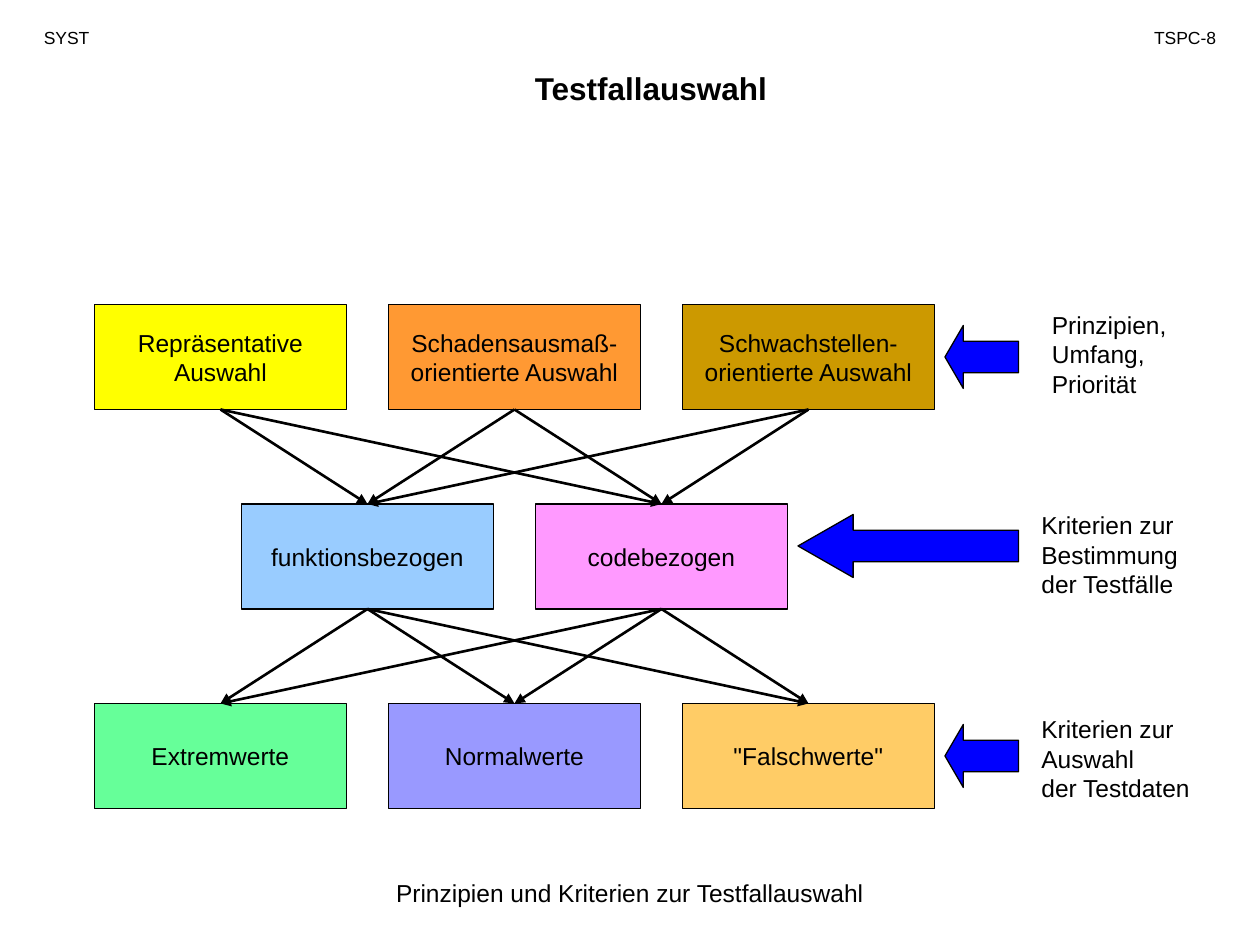
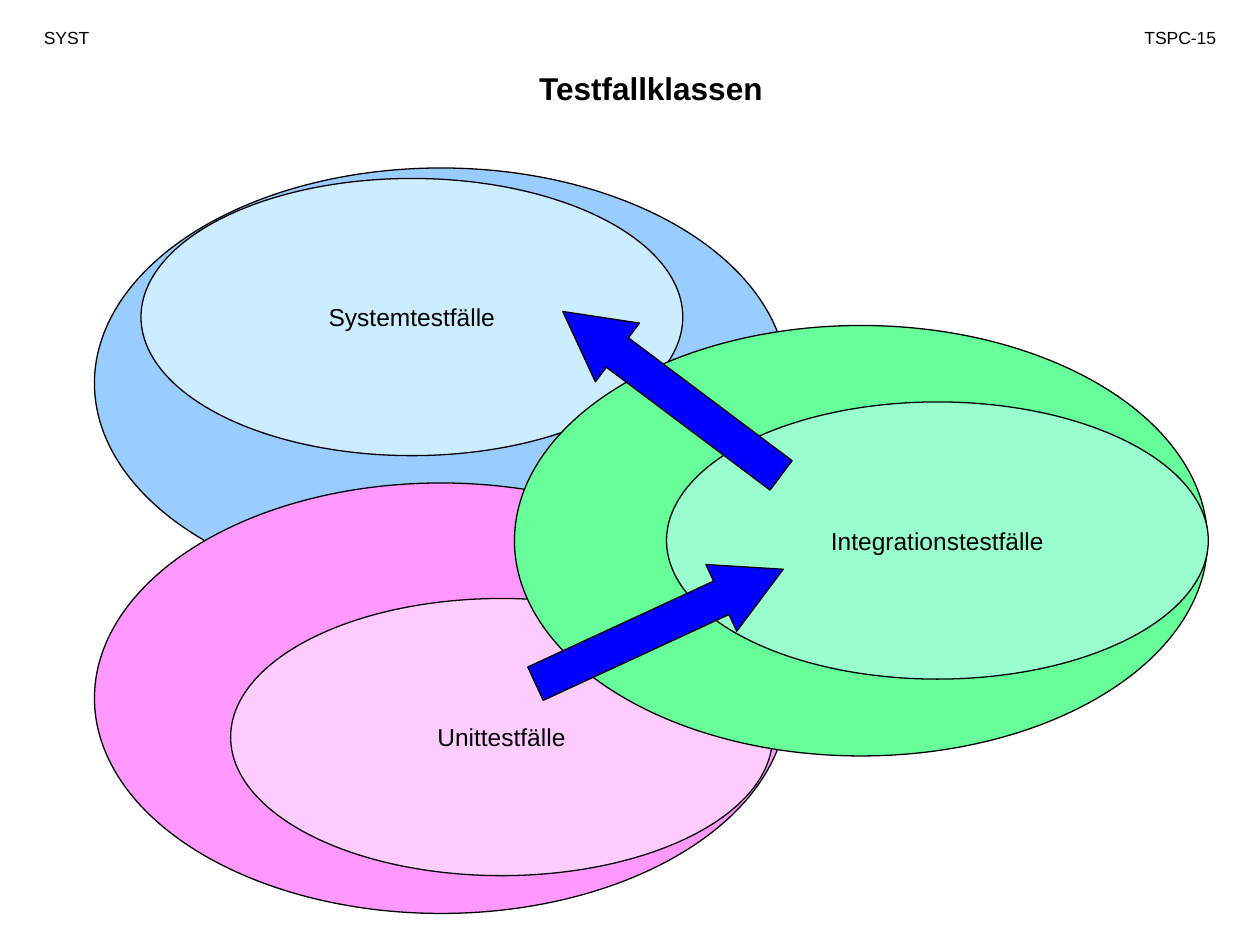
import pptx
import pptx.util
import pptx.dml.color
import pptx.enum.shapes
import pptx.enum.text
import pptx.oxml.ns
from lxml import etree

Pt = pptx.util.Pt
SHAPES = pptx.enum.shapes.MSO_SHAPE
ALIGN = pptx.enum.text.PP_ALIGN
ANCHOR = pptx.enum.text.MSO_ANCHOR

FONT = "Arial"
BLACK = "000000"
ARROW_BLUE = "0000FF"

COURSE = "SYST"
SELECTION_TITLE, SELECTION_PAGE = "Testfallauswahl", "TSPC-8"
CLASSES_TITLE, CLASSES_PAGE = "Testfallklassen", "TSPC-15"

# Each row: boxes (text, fill), then the label beside it with its left and top
SELECTION_ROWS = [
    ([("Repräsentative\nAuswahl", "FFFF00"),
      ("Schadensausmaß-\norientierte Auswahl", "FF9933"),
      ("Schwachstellen-\norientierte Auswahl", "CC9900")],
     ("Prinzipien,\vUmfang,\vPriorität", 594, 173.5)),
    ([("funktionsbezogen", "99CCFF"), ("codebezogen", "FF99FF")],
     ("Kriterien zur\vBestimmung\vder Testfälle", 588, 288)),
    ([("Extremwerte", "66FF99"), ("Normalwerte", "9999FF"),
      ('"Falschwerte"', "FFCC66")],
     ("Kriterien zur\vAuswahl\vder Testdaten", 588, 404.6)),
]
SELECTION_CAPTION = "Prinzipien und Kriterien zur Testfallauswahl"
ROW_ARROW_TOPS = [186, 294, 414]

# Text, outer fill, outer left and top, inner fill, inner left and top
TEST_CLASSES = [
    ("Systemtestfälle", "99CCFF", (54, 96), "CCECFF", (80.6, 102)),
    ("Unittestfälle", "FF99FF", (54, 276), "FFCCFF", (131.8, 342)),
    ("Integrationstestfälle", "66FF99", (294, 186), "99FFCC", (380.9, 229.7)),
]
# Left, top, rotation
CLASS_ARROWS = [(298.8, 337, 335.2), (306, 203.8, 216.9)]

BOX_WIDTH, BOX_HEIGHT, BOX_GAP = 144, 60, 24
ROW_CENTRE, FIRST_ROW_TOP, ROW_PITCH = 294, 174, 114
ROW_ARROW_RIGHT, ROW_ARROW_GAP = 582, 6


def color(hex_string):
    return pptx.dml.color.RGBColor.from_string(hex_string)


def write(shape, text, size=14, align=ALIGN.LEFT, bold=False):
    shape.text_frame.text = text
    for para in shape.text_frame.paragraphs:
        para.alignment = align
        for span in para.runs:
            span.font.name = FONT
            span.font.size = Pt(size)
            span.font.bold = bold
            span.font.color.rgb = color(BLACK)


def place(shape, left, top, width, height):
    shape.left, shape.top = Pt(left), Pt(top)
    shape.width, shape.height = Pt(width), Pt(height)


def add_text(slide, text, left, top, width, height, **style):
    box = slide.shapes.add_textbox(Pt(left), Pt(top), Pt(width), Pt(height))
    box.text_frame.word_wrap = True
    write(box, text, **style)


def add_filled(slide, kind, fill, left, top, width, height, text=""):
    """Add an outlined preset shape, with centred text if there is any."""
    shape = slide.shapes.add_shape(kind, Pt(left), Pt(top), Pt(width), Pt(height))
    shape.shadow.inherit = False
    shape.fill.solid()
    shape.fill.fore_color.rgb = color(fill)
    shape.line.color.rgb = color(BLACK)
    shape.line.width = Pt(0.75)
    if text:
        shape.text_frame.word_wrap = False
        shape.text_frame.vertical_anchor = ANCHOR.MIDDLE
        write(shape, text, align=ALIGN.CENTER)
    return shape


def add_block_arrow(slide, kind, left, top, width, height):
    """Add a blue arrow whose head takes a quarter of its length."""
    arrow = add_filled(slide, kind, ARROW_BLUE, left, top, width, height)
    arrow.adjustments[1] = 0.25 * width / height
    return arrow


def connect(slide, upper, lower):
    """Draw an arrow from the bottom of one box to the top of another."""
    line = slide.shapes.add_connector(
        pptx.enum.shapes.MSO_CONNECTOR.STRAIGHT, 0, 0, 0, 0)
    line.begin_connect(upper, 2)
    line.end_connect(lower, 0)
    line.line.color.rgb = color(BLACK)
    line.line.width = Pt(1.5)
    qn = pptx.oxml.ns.qn
    etree.SubElement(line.line._get_or_add_ln(), qn("a:tailEnd"), type="triangle")
    etree.SubElement(line._element.spPr, qn("a:effectLst"))


def add_page(deck, title, page_label):
    page = deck.slides.add_slide(deck.slide_layouts[5])
    heading = page.shapes.title
    place(heading, 156, 36, 432, 29)
    heading.text_frame.word_wrap = True
    heading.text_frame.auto_size = pptx.enum.text.MSO_AUTO_SIZE.NONE
    heading.text_frame.vertical_anchor = ANCHOR.TOP
    write(heading, title, size=18, align=ALIGN.CENTER, bold=True)
    add_text(page, COURSE, 18, 12, 66, 19.4, size=10)
    add_text(page, page_label, 624, 12, 78, 19.4, size=10, align=ALIGN.RIGHT)
    return page


def build_selection(deck):
    page = add_page(deck, SELECTION_TITLE, SELECTION_PAGE)
    rows = []
    for index, (boxes, label) in enumerate(SELECTION_ROWS):
        top = FIRST_ROW_TOP + index * ROW_PITCH
        row_width = len(boxes) * (BOX_WIDTH + BOX_GAP) - BOX_GAP
        left = ROW_CENTRE - row_width / 2
        rows.append([
            add_filled(page, SHAPES.RECTANGLE, fill,
                       left + column * (BOX_WIDTH + BOX_GAP), top,
                       BOX_WIDTH, BOX_HEIGHT, text)
            for column, (text, fill) in enumerate(boxes)])
        arrow_left = left + row_width + ROW_ARROW_GAP
        add_block_arrow(page, SHAPES.LEFT_ARROW, arrow_left, ROW_ARROW_TOPS[index],
                        ROW_ARROW_RIGHT - arrow_left, 36)
        add_text(page, *label, 120, 57.6)
    for upper_row, lower_row in zip(rows, rows[1:]):
        for upper in upper_row:
            for lower in lower_row:
                connect(page, upper, lower)
    add_text(page, SELECTION_CAPTION, 174, 498, 372, 24.5, align=ALIGN.CENTER)


def build_classes(deck):
    page = add_page(deck, CLASSES_TITLE, CLASSES_PAGE)
    for text, outer_fill, outer_at, inner_fill, inner_at in TEST_CLASSES:
        add_filled(page, SHAPES.OVAL, outer_fill, *outer_at, 396, 246)
        add_filled(page, SHAPES.OVAL, inner_fill, *inner_at, 309.6, 158.4, text)
    for left, top, rotation in CLASS_ARROWS:
        arrow = add_block_arrow(page, SHAPES.RIGHT_ARROW, left, top, 156, 42)
        arrow.rotation = rotation


def main():
    deck = pptx.Presentation()
    deck.slide_width, deck.slide_height = Pt(720), Pt(540)
    build_selection(deck)
    build_classes(deck)
    deck.save("out.pptx")


if __name__ == "__main__":
    main()
